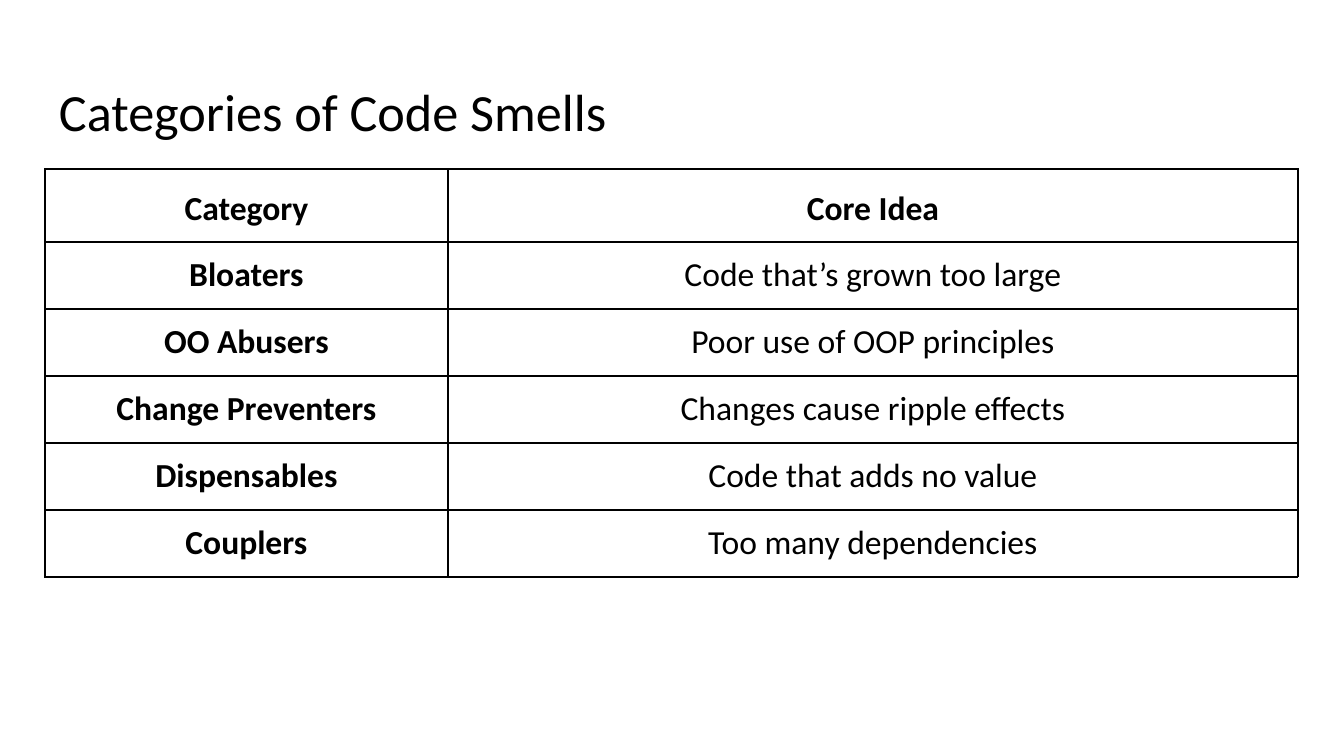
from dataclasses import dataclass

from lxml.etree import SubElement
from pptx import Presentation
from pptx.dml.color import RGBColor
from pptx.enum.text import MSO_ANCHOR, PP_ALIGN
from pptx.oxml.ns import qn
from pptx.util import Pt


@dataclass(frozen=True)
class Theme:
    font: str = "Calibri"
    ink: str = "000000"
    title_size: int = 28
    cell_size: int = 18
    border_width: float = 0.75


theme = Theme()
INSET = 13


def px(count):
    """Turn pixels, 134.4 to the inch, into EMU."""
    return round(count * 914400 / 134.4)


def set_font(para, size, bold=False):
    para.font.name = theme.font
    para.font.size = Pt(size)
    para.font.bold = bold
    para.font.color.rgb = RGBColor.from_string(theme.ink)


deck = Presentation()
deck.slide_width, deck.slide_height = px(1344), px(756)
page = deck.slides.add_slide(deck.slide_layouts[6])

# Title
box = page.shapes.add_textbox(px(46), px(66), px(1252), px(90))
frame = box.text_frame
frame.word_wrap = True
frame.vertical_anchor = MSO_ANCHOR.TOP
frame.margin_left = frame.margin_right = px(INSET)
frame.margin_top = frame.margin_bottom = px(INSET)
frame.text = "Categories of Code Smells"
set_font(frame.paragraphs[0], theme.title_size)

# Table of categories
smells = [
    ("Category", "Core Idea"),
    ("Bloaters", "Code that’s grown too large"),
    ("OO Abusers", "Poor use of OOP principles"),
    ("Change Preventers", "Changes cause ripple effects"),
    ("Dispensables", "Code that adds no value"),
    ("Couplers", "Too many dependencies"),
]
column_widths = [403, 850]
row_heights = [73] + [67] * (len(smells) - 1)

table = page.shapes.add_table(
    len(smells), len(column_widths),
    px(45), px(169), px(sum(column_widths)), px(sum(row_heights)),
).table
table.first_row = table.horz_banding = False
for column, width in zip(table.columns, column_widths):
    column.width = px(width)

for row_index, (row, height, texts) in enumerate(zip(table.rows, row_heights, smells)):
    row.height = px(height)
    is_header = row_index == 0
    for column_index, (cell, text) in enumerate(zip(row.cells, texts)):
        cell.margin_left = cell.margin_right = px(INSET)
        cell.margin_top = cell.margin_bottom = px(INSET)
        cell.text = text
        para = cell.text_frame.paragraphs[0]
        para.alignment = PP_ALIGN.CENTER
        if is_header:
            para.line_spacing = 1.15
        set_font(para, theme.cell_size, bold=is_header or column_index == 0)

        # Borders come before the fill in the cell properties
        properties = cell._tc.get_or_add_tcPr()
        for side in ("a:lnL", "a:lnR", "a:lnT", "a:lnB"):
            line = SubElement(properties, qn(side), w=str(Pt(theme.border_width)))
            paint = SubElement(line, qn("a:solidFill"))
            SubElement(paint, qn("a:srgbClr"), val=theme.ink)
        cell.fill.background()

deck.save("out.pptx")
